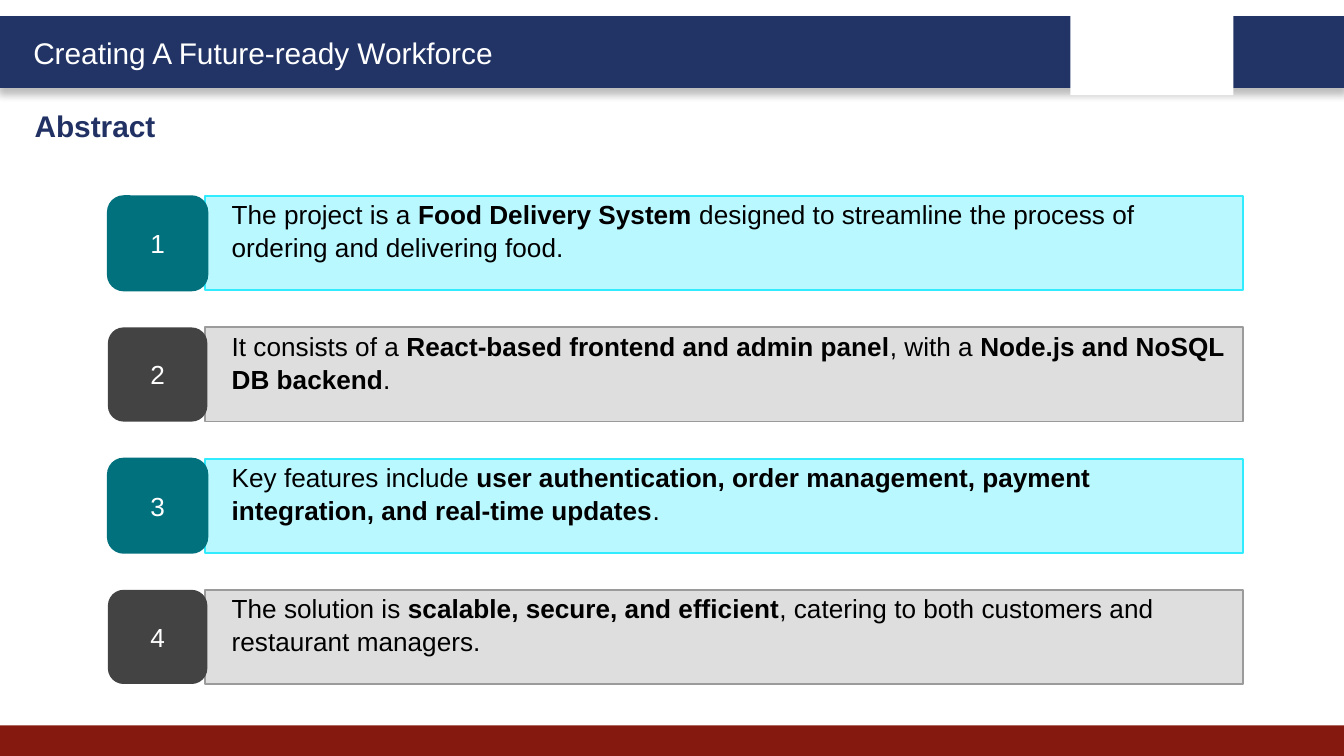
from dataclasses import dataclass

from lxml.etree import SubElement
from pptx import Presentation
from pptx.dml.color import RGBColor
from pptx.enum.shapes import MSO_SHAPE as Preset
from pptx.enum.text import MSO_ANCHOR as Anchor, MSO_AUTO_SIZE as AutoSize, PP_ALIGN as Align
from pptx.oxml.ns import qn
from pptx.shapes.autoshape import Shape
from pptx.slide import Slide
from pptx.text.text import _Paragraph as Paragraph
from pptx.util import Cm, Pt

NAVY = RGBColor(0x22, 0x33, 0x66)
TITLE_NAVY = RGBColor(0x21, 0x31, 0x63)
MAROON = RGBColor(0x85, 0x19, 0x10)
WHITE = RGBColor(0xFF, 0xFF, 0xFF)
BLACK = RGBColor(0, 0, 0)
TEAL = RGBColor(0x00, 0x71, 0x7D)
PALE_CYAN = RGBColor(0xBA, 0xF8, 0xFF)
CYAN = RGBColor(0x31, 0xEB, 0xFF)
CHARCOAL = RGBColor(0x43, 0x43, 0x43)
PALE_GREY = RGBColor(0xDE, 0xDE, 0xDE)
GREY = RGBColor(0x9B, 0x9B, 0x9B)

FONT = "Arial"
SLIDE_WIDTH = 25.4
SLIDE_HEIGHT = 14.29
CARD_TOP = 3.71
CARD_PITCH = 2.48
CARD_HEIGHT = 1.78


@dataclass(frozen=True)
class Box:
    left: float
    top: float
    width: float
    height: float

    def lengths(self) -> tuple[Cm, Cm, Cm, Cm]:
        return Cm(self.left), Cm(self.top), Cm(self.width), Cm(self.height)


@dataclass(frozen=True)
class Theme:
    fill: RGBColor
    line: RGBColor
    badge: RGBColor
    badge_line: RGBColor | None


@dataclass(frozen=True)
class Span:
    text: str
    bold: bool = False


CYAN_THEME = Theme(PALE_CYAN, CYAN, TEAL, TEAL)
GREY_THEME = Theme(PALE_GREY, GREY, CHARCOAL, None)
THEMES = (CYAN_THEME, GREY_THEME)

CARDS = (
    (
        Span("The project is a "),
        Span("Food Delivery System", True),
        Span(" designed to streamline the process of ordering and delivering food."),
    ),
    (
        Span("It consists of a "),
        Span("React-based frontend and admin panel", True),
        Span(", with a "),
        Span("Node.js and NoSQL DB backend", True),
        Span("."),
    ),
    (
        Span("Key features include "),
        Span("user authentication, order management, payment integration, and real-time updates", True),
        Span("."),
    ),
    (
        Span("The solution is "),
        Span("scalable, secure, and efficient", True),
        Span(", catering to both customers and restaurant managers."),
    ),
)


def set_font(paragraph: Paragraph, size: int, color: RGBColor) -> None:
    paragraph.font.name = FONT
    paragraph.font.size = Pt(size)
    paragraph.font.color.rgb = color


def add_block(
    slide: Slide, preset: Preset, box: Box, fill: RGBColor,
    line: RGBColor | None = None, line_width: float = 1,
) -> Shape:
    shape = slide.shapes.add_shape(preset, *box.lengths())
    shape.shadow.inherit = False
    shape.fill.solid()
    shape.fill.fore_color.rgb = fill
    if line is None:
        shape.line.fill.background()
    else:
        shape.line.color.rgb = line
        shape.line.width = Pt(line_width)
    return shape


def add_drop_shadow(shape: Shape) -> None:
    effects = shape.element.spPr.find(qn("a:effectLst"))
    shadow = SubElement(
        effects, qn("a:outerShdw"), blurRad=str(Pt(4)), dist=str(Pt(3)),
        dir="5400000", algn="t", rotWithShape="0",
    )
    color = SubElement(shadow, qn("a:srgbClr"), val="000000")
    SubElement(color, qn("a:alpha"), val="25000")


def add_banner(slide: Slide) -> None:
    header = add_block(slide, Preset.RECTANGLE, Box(0, 0.33, SLIDE_WIDTH, 1.3), NAVY, NAVY, 2)
    add_drop_shadow(header)
    add_block(slide, Preset.RECTANGLE, Box(0, 13.71, SLIDE_WIDTH, 0.58), MAROON)
    add_block(slide, Preset.RECTANGLE, Box(20.23, 0.18, 3.08, 1.62), WHITE)
    slogan = slide.shapes.add_textbox(*Box(0.38, 0.54, 9.6, 0.94).lengths())
    slogan.text_frame.word_wrap = True
    paragraph = slogan.text_frame.paragraphs[0]
    paragraph.text = "Creating A Future-ready Workforce"
    set_font(paragraph, 16, WHITE)


def fill_title(slide: Slide) -> None:
    title = slide.shapes.title
    title.left, title.top, title.width, title.height = Box(0.4, 1.9, 12.3, 0.94).lengths()
    frame = title.text_frame
    frame.auto_size = AutoSize.NONE
    frame.vertical_anchor = Anchor.TOP
    paragraph = frame.paragraphs[0]
    paragraph.text = "Abstract"
    paragraph.alignment = Align.LEFT
    paragraph.font.bold = True
    set_font(paragraph, 16, TITLE_NAVY)


def add_card(slide: Slide, index: int, spans: tuple[Span, ...], theme: Theme) -> None:
    top = CARD_TOP + index * CARD_PITCH
    panel = add_block(
        slide, Preset.RECTANGLE, Box(3.88, top, 19.61, CARD_HEIGHT), theme.fill, theme.line,
    )
    frame = panel.text_frame
    frame.word_wrap = True
    frame.vertical_anchor = Anchor.TOP
    frame.margin_left = Cm(0.5)
    frame.margin_top = Cm(0.02)
    paragraph = frame.paragraphs[0]
    paragraph.alignment = Align.LEFT
    paragraph.line_spacing = 1.05
    set_font(paragraph, 14, BLACK)
    for span in spans:
        run = paragraph.add_run()
        run.text = span.text
        run.font.bold = span.bold

    badge = add_block(
        slide, Preset.ROUNDED_RECTANGLE, Box(2.04, top, 1.88, CARD_HEIGHT),
        theme.badge, theme.badge_line,
    )
    badge.text_frame.vertical_anchor = Anchor.MIDDLE
    number = badge.text_frame.paragraphs[0]
    number.text = str(index + 1)
    number.alignment = Align.CENTER
    set_font(number, 14, WHITE)


def main() -> None:
    presentation = Presentation()
    presentation.slide_width = Cm(SLIDE_WIDTH)
    presentation.slide_height = Cm(SLIDE_HEIGHT)
    slide = presentation.slides.add_slide(presentation.slide_layouts[5])
    add_banner(slide)
    fill_title(slide)
    for index, spans in enumerate(CARDS):
        add_card(slide, index, spans, THEMES[index % len(THEMES)])
    presentation.save("out.pptx")


if __name__ == "__main__":
    main()
